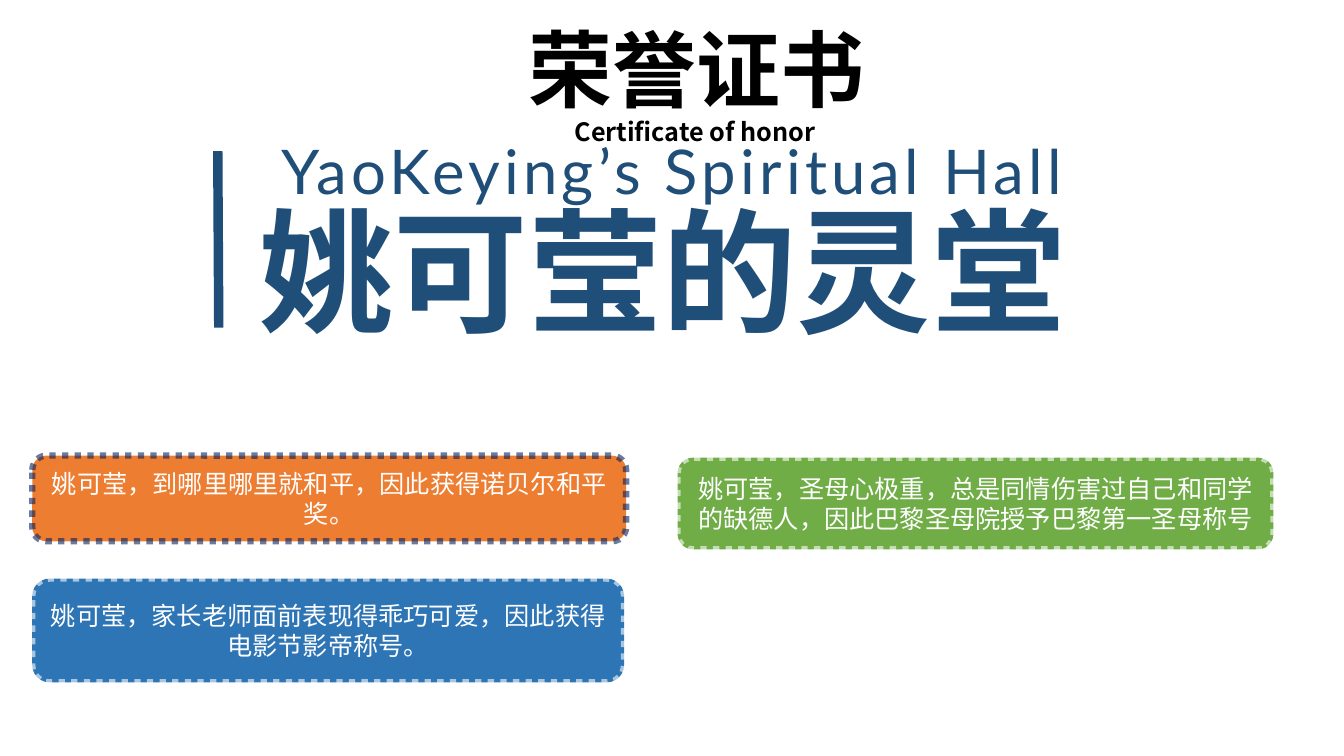
from lxml.etree import SubElement
from pptx import Presentation
from pptx.dml.color import RGBColor
from pptx.enum.dml import MSO_LINE
from pptx.enum.shapes import MSO_CONNECTOR, MSO_SHAPE
from pptx.enum.text import MSO_ANCHOR, MSO_AUTO_SIZE, PP_ALIGN
from pptx.oxml.ns import qn
from pptx.util import Pt

PX = 9144  # EMU per px, 100 px to the inch

NAVY = RGBColor(0x1F, 0x4E, 0x79)
INK = RGBColor(0x00, 0x20, 0x60)
BLACK = RGBColor(0, 0, 0)
WHITE = RGBColor(0xFF, 0xFF, 0xFF)
ORANGE = RGBColor(0xED, 0x7D, 0x31)
BLUE = RGBColor(0x2E, 0x75, 0xB6)
GREEN = RGBColor(0x70, 0xAD, 0x47)

SANS = "Noto Sans CJK SC"
LATO = "Lato"

# Content: text, place, size, font, colour, bold, alignment
TITLE = ("姚可莹的灵堂", (247, 182, 858, 172), 96, SANS, NAVY, True, PP_ALIGN.LEFT)
SUBTITLE = ("YaoKeying’s Spiritual Hall ", (176, 127, 1001, 84), 44, LATO, NAVY,
            False, PP_ALIGN.CENTER)
HEADINGS = [
    ("荣誉证书", (514, 12, 525, 111), 60, SANS, BLACK, True, PP_ALIGN.LEFT),
    ("Certificate of honor", (560, 110, 345, 40), 18, SANS, BLACK, True, PP_ALIGN.LEFT),
]
# Awards: text, place, fill, outline
AWARDS = [
    ("姚可莹，到哪里哪里就和平，因此获得诺贝尔和平奖。", (32, 452, 589, 85), ORANGE, INK),
    ("姚可莹，家长老师面前表现得乖巧可爱，因此获得电影节影帝称号。",
     (32, 574, 587, 103), BLUE, WHITE),
    ("姚可莹，圣母心极重，总是同情伤害过自己和同学的缺德人，因此巴黎圣母院授予巴黎第一圣母称号",
     (672, 454, 591, 91), GREEN, WHITE),
]
ACCENT_BAR = (216, 150, 217, 325)


def emu(lengths):
    return [length * PX for length in lengths]


def write(box, text, size, font, color, bold, align, anchor):
    frame = box.text_frame
    frame.text = text
    frame.word_wrap = True
    frame.auto_size = MSO_AUTO_SIZE.NONE
    frame.vertical_anchor = anchor
    para = frame.paragraphs[0]
    para.alignment = align
    span = para.runs[0]
    span.font.size = Pt(size)
    span.font.bold = bold
    span.font.color.rgb = color
    span.font.name = font
    SubElement(span.font._element, qn("a:ea"), typeface=font)
    return span


def add_label(page, text, place, *style):
    box = page.shapes.add_textbox(*emu(place))
    return write(box, text, *style, MSO_ANCHOR.TOP)


def add_award(page, text, place, fill, outline):
    box = page.shapes.add_shape(MSO_SHAPE.ROUNDED_RECTANGLE, *emu(place))
    box.shadow.inherit = False
    box.fill.solid()
    box.fill.fore_color.rgb = fill
    box.line.color.rgb = outline
    box.line.width = Pt(4.5)
    box.line.dash_style = MSO_LINE.ROUND_DOT
    shade = box.line._ln.find(".//" + qn("a:srgbClr"))
    SubElement(shade, qn("a:alpha"), val="58000")
    write(box, text, 18, SANS, WHITE, False, PP_ALIGN.CENTER, MSO_ANCHOR.MIDDLE)


def main():
    deck = Presentation()
    deck.slide_width, deck.slide_height = emu((1333, 750))
    page = deck.slides.add_slide(deck.slide_layouts[5])

    # Accent bar
    bar = page.shapes.add_connector(MSO_CONNECTOR.STRAIGHT, *emu(ACCENT_BAR))
    bar.line.color.rgb = NAVY
    bar.line.width = Pt(6.75)
    SubElement(bar._element.spPr, qn("a:effectLst"))

    # Title and headings
    text, place, *style = TITLE
    title = page.shapes.title
    title.left, title.top, title.width, title.height = emu(place)
    write(title, text, *style, MSO_ANCHOR.TOP)
    subtitle = add_label(page, *SUBTITLE)
    subtitle.font._element.set("spc", "300")
    for heading in HEADINGS:
        add_label(page, *heading)

    # Award cards
    for award in AWARDS:
        add_award(page, *award)

    deck.save("out.pptx")


if __name__ == "__main__":
    main()
